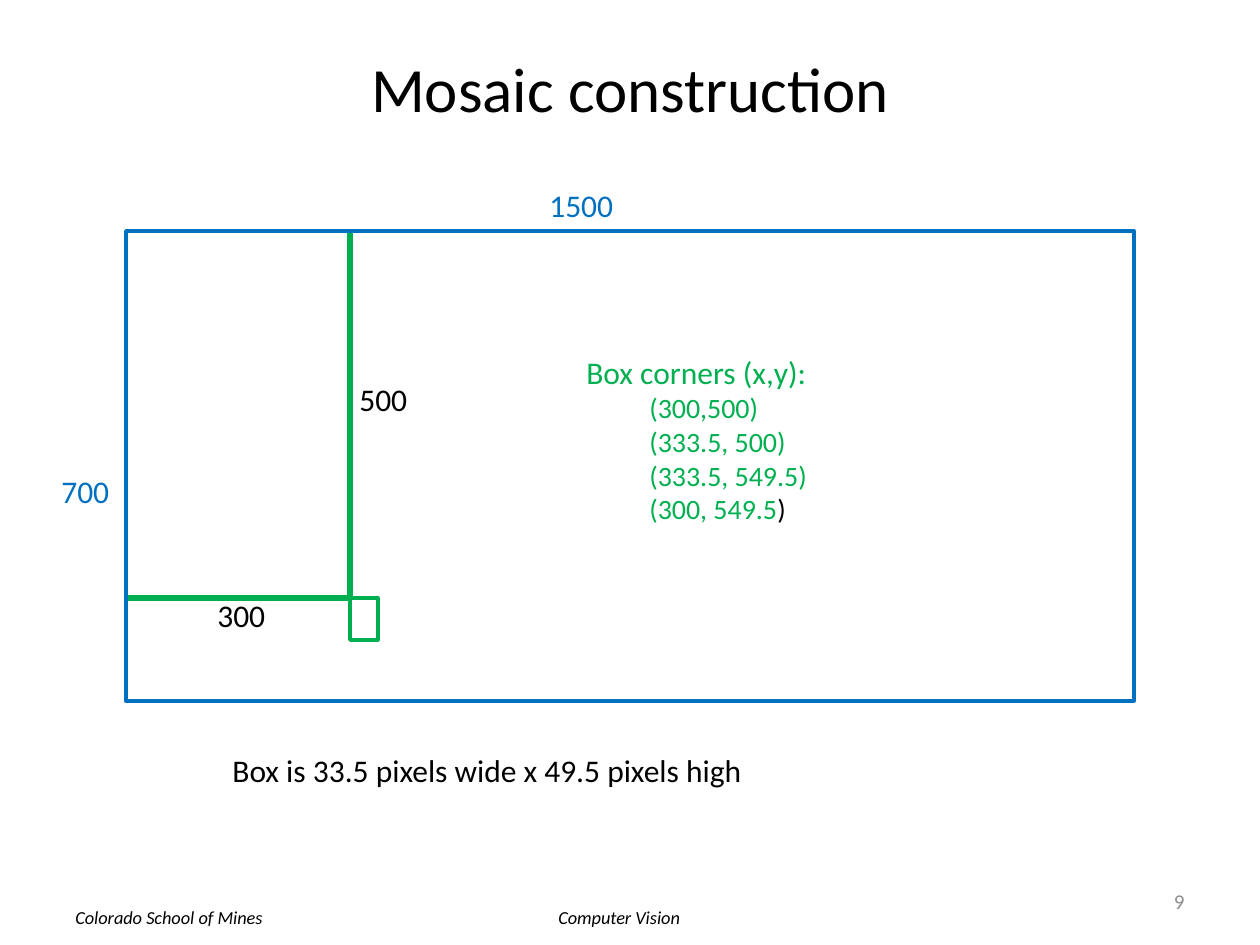
from pptx import Presentation
from pptx import util as u
from pptx.dml.color import RGBColor
from pptx.enum import shapes, text
from pptx.oxml.ns import qn
from lxml import etree

PX = 914400 // 126
FONT = "Calibri"
COLORS = {"black": "000000", "gray": "8C8C8C", "green": "00B050", "blue": "0070C0"}

# Content: lengths in px
TITLE = ("Mosaic construction", (63, 38, 1134, 98), 36, "black")
PAGE = ("9", (903, 876, 294, 50), 12, "gray")
FOOTERS = [
    ("Computer Vision", (546, 900, 149, 35)),
    ("Colorado School of Mines", (63, 900, 215, 35)),
]
MOSAIC = (126, 231, 1008, 470)
BOX = (350, 598, 28, 42)
LABELS = [
    ("300", (205, 590, 74, 50), "black"),
    ("500", (347, 374, 74, 50), "black"),
    ("1500", (537, 180, 89, 50), "blue"),
    ("700", (49, 466, 74, 50), "blue"),
    ("Box is 33.5 pixels wide x 49.5 pixels high", (220, 745, 548, 50), "black"),
]
CORNERS_AT = (574, 347, 248, 186)
CORNERS_HEAD = "Box corners (x,y):"
CORNERS = ["(300,500)", "(333.5, 500)", "(333.5, 549.5)", "(300, 549.5"]


def emu(lengths):
    return [u.Emu(n * PX) for n in lengths]


def color(name):
    return RGBColor.from_string(COLORS[name])


def set_font(font, size, name, italic=None):
    font.name, font.size, font.italic = FONT, u.Pt(size), italic
    font.color.rgb = color(name)


def add_text(s, words, at, size, name, align=None, italic=None):
    tf = s.shapes.add_textbox(*emu(at)).text_frame
    tf.word_wrap = align is not None
    if align is not None:
        tf.vertical_anchor = text.MSO_ANCHOR.MIDDLE
    p = tf.paragraphs[0]
    p.text = words
    p.alignment = align
    set_font(p.font, size, name, italic)
    return tf


def add_line(s, start, end):
    c = s.shapes.add_connector(shapes.MSO_CONNECTOR.STRAIGHT, *emu(start + end))
    c.line.color.rgb = color("green")
    c.line.width = u.Pt(3)
    etree.SubElement(c._element.spPr, qn("a:effectLst"))


def add_outline(s, at, name):
    sp = s.shapes.add_shape(shapes.MSO_SHAPE.RECTANGLE, *emu(at))
    sp.shadow.inherit = False
    sp.fill.background()
    sp.line.color.rgb = color(name)
    sp.line.width = u.Pt(2)


prs = Presentation()
prs.slide_width, prs.slide_height = u.Inches(10), u.Inches(7.5)
s = prs.slides.add_slide(prs.slide_layouts[6])

# Footers, title and page number
for words, at in FOOTERS:
    add_text(s, words, at, 10.5, "black", italic=True)
add_text(s, *TITLE, align=text.PP_ALIGN.CENTER)
add_text(s, *PAGE, align=text.PP_ALIGN.RIGHT)

# Offsets of the box from the mosaic's top and left edges
corner = BOX[:2]
add_line(s, corner, (BOX[0], MOSAIC[1]))
add_line(s, (MOSAIC[0], BOX[1]), corner)

# Box and mosaic
add_outline(s, BOX, "green")
add_outline(s, MOSAIC, "blue")

# Dimensions and box size
for words, at, name in LABELS:
    add_text(s, words, at, 18, name)

# Corner coordinates, the last closing bracket in black
tf = add_text(s, CORNERS_HEAD, CORNERS_AT, 18, "green")
for words in CORNERS:
    p = tf.add_paragraph()
    p.text = words
    p.level = 1
    set_font(p.font, 16, "green")
r = p.add_run()
r.text = ")"
r.font.color.rgb = color("black")

prs.save("out.pptx")
